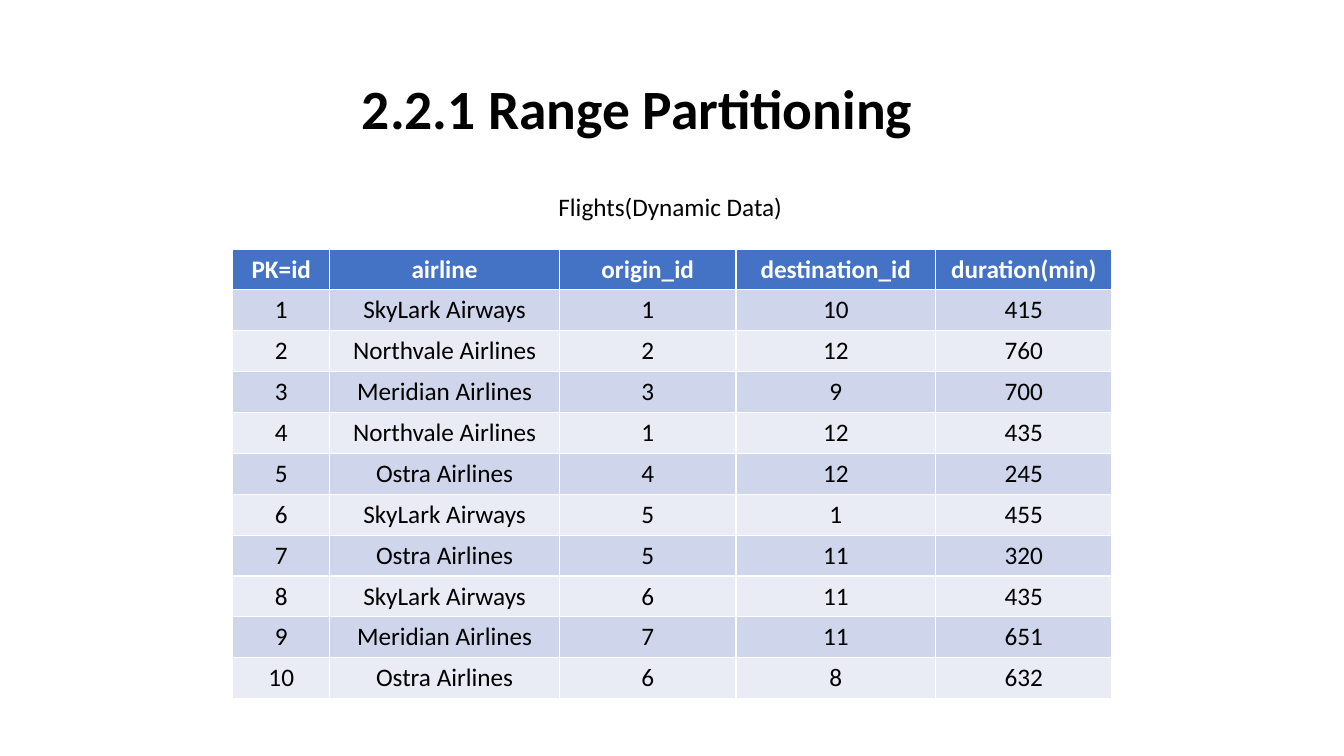
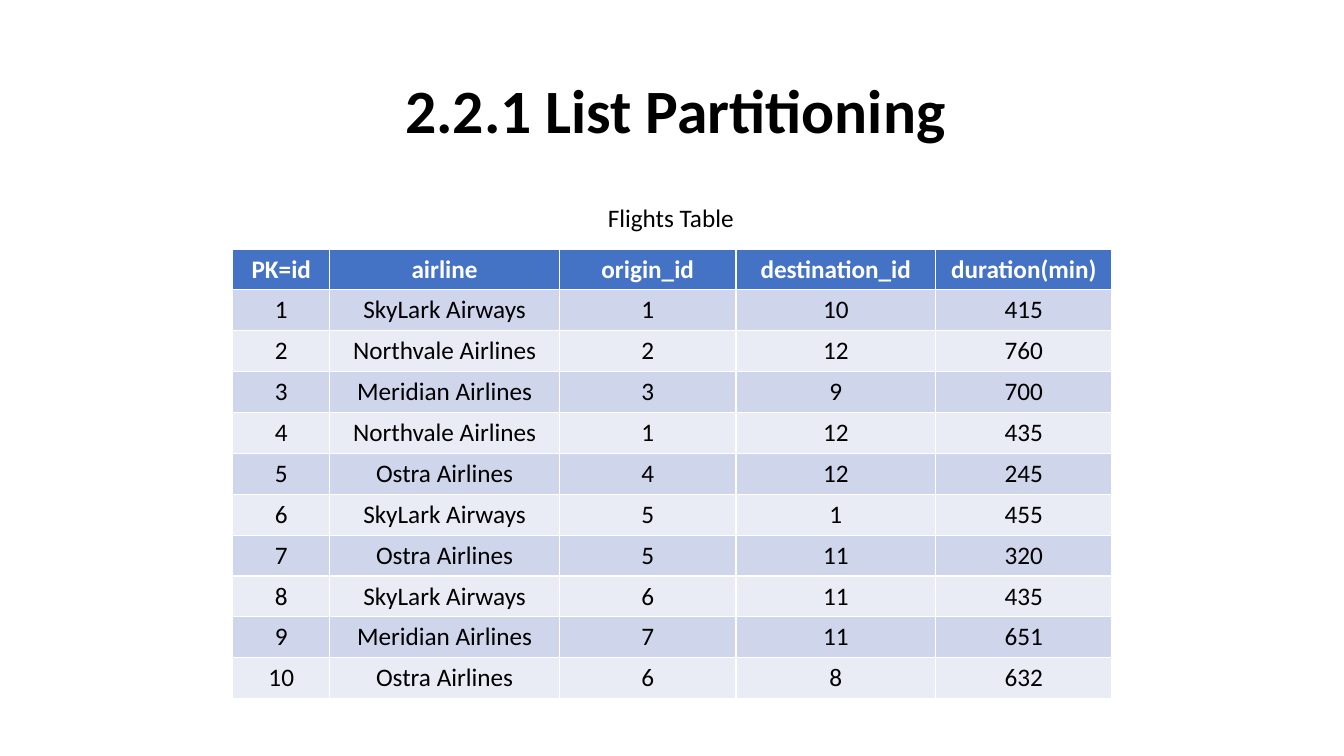
from pptx import Presentation
from pptx.dml.color import RGBColor
from pptx.enum import text
from pptx.util import Inches, Pt

COLORS = {
    "ink": "000000",
    "header": "4472C4",
    "header_ink": "FFFFFF",
    "odd_row": "CFD5EA",
    "even_row": "E9EBF5",
}
FONT = "Calibri"

HEADINGS = ["PK=id", "airline", "origin_id", "destination_id", "duration(min)"]
COLUMN_WIDTHS = [0.96, 2.28, 1.75, 1.98, 1.75]
FLIGHTS = [
    (1, "SkyLark Airways", 1, 10, 415),
    (2, "Northvale Airlines", 2, 12, 760),
    (3, "Meridian Airlines", 3, 9, 700),
    (4, "Northvale Airlines", 1, 12, 435),
    (5, "Ostra Airlines", 4, 12, 245),
    (6, "SkyLark Airways", 5, 1, 455),
    (7, "Ostra Airlines", 5, 11, 320),
    (8, "SkyLark Airways", 6, 11, 435),
    (9, "Meridian Airlines", 7, 11, 651),
    (10, "Ostra Airlines", 6, 8, 632),
]
TABLE_HEIGHT = 4.46

# title, size, title top, title inset, caption, caption left, top and width
SLIDES = [
    ("2.2.1 Range Partitioning", 39.6, 0.38, 2.67,
     "Flights(Dynamic Data)", 5.44, 1.85, 2.45),
    ("2.2.1 List Partitioning", 44, 0.4, 3.1,
     "Flights Table", 5.93, 1.96, 1.46),
]


def style(paragraph, size, color="ink", bold=False, align=text.PP_ALIGN.LEFT):
    paragraph.alignment = align
    font = paragraph.font
    font.name, font.size, font.bold = FONT, Pt(size), bold
    font.color.rgb = RGBColor.from_string(COLORS[color])


prs = Presentation()
prs.slide_width, prs.slide_height = Inches(13.33), Inches(7.5)

for (heading, heading_size, heading_top, heading_inset,
     caption_text, caption_left, caption_top, caption_width) in SLIDES:
    slide = prs.slides.add_slide(prs.slide_layouts[5])

    title = slide.shapes.title
    title.left, title.top = Inches(0.92), Inches(heading_top)
    title.width, title.height = Inches(11.5), Inches(1.45)
    frame = title.text_frame
    frame.text = heading
    frame.auto_size = text.MSO_AUTO_SIZE.NONE
    frame.vertical_anchor = text.MSO_ANCHOR.MIDDLE
    frame.margin_left = Inches(heading_inset)
    frame.paragraphs[0].line_spacing = 0.9
    style(frame.paragraphs[0], heading_size, bold=True)

    rows = [HEADINGS, *FLIGHTS]
    flights = slide.shapes.add_table(
        len(rows), len(HEADINGS), Inches(2.31), Inches(2.47),
        Inches(sum(COLUMN_WIDTHS)), Inches(TABLE_HEIGHT)).table
    for column, width in zip(flights.columns, COLUMN_WIDTHS):
        column.width = Inches(width)
    for r, values in enumerate(rows):
        is_header = r == 0
        fill = "header" if is_header else "odd_row" if r % 2 else "even_row"
        ink = "header_ink" if is_header else "ink"
        for c, value in enumerate(values):
            cell = flights.cell(r, c)
            cell.text = str(value)
            cell.fill.solid()
            cell.fill.fore_color.rgb = RGBColor.from_string(COLORS[fill])
            style(cell.text_frame.paragraphs[0], 18, ink, is_header,
                  text.PP_ALIGN.CENTER)

    caption = slide.shapes.add_textbox(
        Inches(caption_left), Inches(caption_top),
        Inches(caption_width), Inches(0.4)).text_frame
    caption.text = caption_text
    caption.word_wrap = False
    caption.auto_size = text.MSO_AUTO_SIZE.SHAPE_TO_FIT_TEXT
    style(caption.paragraphs[0], 18)

prs.save("out.pptx")
